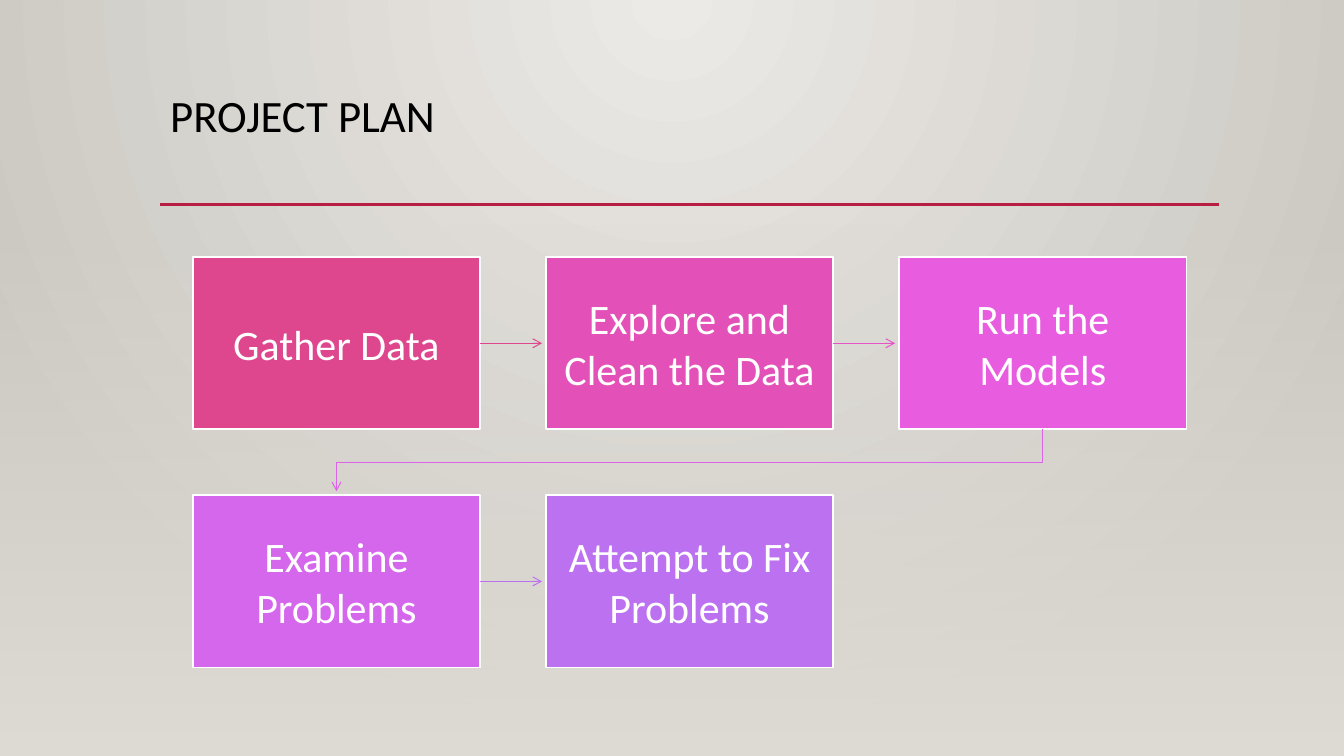
from lxml import etree
from pptx import Presentation
from pptx.dml.color import RGBColor
from pptx.enum import shapes, text
from pptx.oxml.ns import qn
from pptx.util import Cm, Pt

# Content: step label, box colour, colour of the arrow to the next step
TITLE = "PROJECT PLAN"
STEPS = [
    ("Gather Data", "DE478E", "DE478E"),
    ("Explore and Clean the Data", "E351B8", "E555C6"),
    ("Run the Models", "E85CE0", "DD63EB"),
    ("Examine Problems", "D467EC", "BC72F0"),
    ("Attempt to Fix Problems", "BC72F0", None),
]
THEME = {
    "font": "Calibri", "title_size": Pt(32), "step_size": Pt(30),
    "title": "000000", "step": "FFFFFF", "rule": "B71E42",
    "glow": ("ECEAE7", "CAC7C1"), "floor": ("DFDBD5", "DFDBD5"),
    "rule_width": Pt(2.5), "border_width": Pt(1.25), "arrow_width": Pt(0.75),
}

# Layout
SLIDE_W, SLIDE_H = Cm(33.87), Cm(19.05)
MARGIN, RULE_Y, RULE_W = Cm(4.04), Cm(5.15), Cm(26.67)
FLOOR_TOP = Cm(5.61)
COLUMNS = 3
GRID_X, GRID_Y = Cm(4.86), Cm(6.48)
BOX_W, BOX_H = Cm(7.24), Cm(4.34)
PITCH_X, PITCH_Y = Cm(8.9), Cm(6)
TIP_GAP = Cm(0.1)


def rgb(value):
    return RGBColor.from_string(value)


def set_gradient(fill, colours):
    fill.gradient()
    for stop, colour, position in zip(fill.gradient_stops, colours, (0, 1)):
        stop.color.rgb = rgb(colour)
        stop.position = position


def style_text(paragraph, size, colour):
    paragraph.font.name = THEME["font"]
    paragraph.font.size = size
    paragraph.font.color.rgb = rgb(colour)


def style_line(shape, colour, width, arrow=False):
    shape.line.color.rgb = rgb(colour)
    shape.line.width = width
    if arrow:
        etree.SubElement(shape.line._get_or_add_ln(), qn("a:tailEnd"), type="arrow")


def add_line(slide, x1, y1, x2, y2):
    line = slide.shapes.add_connector(shapes.MSO_CONNECTOR.STRAIGHT, x1, y1, x2, y2)
    etree.SubElement(line._element.spPr, qn("a:effectLst"))
    return line


def box_origin(index):
    row, column = divmod(index, COLUMNS)
    return GRID_X + column * PITCH_X, GRID_Y + row * PITCH_Y


def add_backdrop(slide):
    # Radial glow from the top centre
    set_gradient(slide.background.fill, THEME["glow"])
    glow = slide._element.find(".//" + qn("a:gradFill"))
    glow.remove(glow.find(qn("a:lin")))
    radial = etree.SubElement(glow, qn("a:path"))
    radial.set("path", "circle")
    etree.SubElement(radial, qn("a:fillToRect"), l="43000", t="0", r="43000", b="100000")

    # Floor that fades in downwards
    floor = slide.shapes.add_shape(shapes.MSO_SHAPE.RECTANGLE, 0, FLOOR_TOP,
                                   SLIDE_W, SLIDE_H - FLOOR_TOP)
    floor.shadow.inherit = False
    floor.line.fill.background()
    set_gradient(floor.fill, THEME["floor"])
    floor.fill.gradient_angle = 270
    clear = floor._element.find(".//" + qn("a:srgbClr"))
    etree.SubElement(clear, qn("a:alpha"), val="0")


def add_title(slide):
    frame = slide.shapes.add_textbox(MARGIN, Cm(2.24), RULE_W, Cm(2.92)).text_frame
    frame.word_wrap = True
    heading = frame.paragraphs[0]
    heading.text = TITLE
    heading.line_spacing = 0.9
    style_text(heading, THEME["title_size"], THEME["title"])
    rule = add_line(slide, MARGIN, RULE_Y, MARGIN + RULE_W, RULE_Y)
    style_line(rule, THEME["rule"], THEME["rule_width"])


def add_step(slide, index, label, colour):
    box = slide.shapes.add_shape(shapes.MSO_SHAPE.RECTANGLE, *box_origin(index), BOX_W, BOX_H)
    box.shadow.inherit = False
    box.fill.solid()
    box.fill.fore_color.rgb = rgb(colour)
    style_line(box, THEME["step"], THEME["border_width"])
    frame = box.text_frame
    frame.word_wrap = True
    frame.vertical_anchor = text.MSO_ANCHOR.MIDDLE
    frame.margin_left = frame.margin_right = Cm(0.36)
    frame.margin_top = frame.margin_bottom = Cm(0.38)
    caption = frame.paragraphs[0]
    caption.text = label
    caption.alignment = text.PP_ALIGN.CENTER
    style_text(caption, THEME["step_size"], THEME["step"])
    return box


def add_arrow(slide, index, box, colour):
    x, y = box_origin(index)
    next_x, next_y = box_origin(index + 1)
    if y == next_y:
        middle = y + BOX_H // 2
        arrow = add_line(slide, x + BOX_W, middle, next_x - TIP_GAP, middle)
        arrow.begin_connect(box, 3)
    else:
        # Step down to the start of the next row
        start_x, end_x = x + BOX_W // 2, next_x + BOX_W // 2
        bend_y = (y + BOX_H + next_y) // 2
        builder = slide.shapes.build_freeform(start_x, y + BOX_H)
        builder.add_line_segments(
            [(start_x, bend_y), (end_x, bend_y), (end_x, next_y - TIP_GAP)], close=False)
        arrow = builder.convert_to_shape()
        arrow.shadow.inherit = False
        arrow.fill.background()
    style_line(arrow, colour, THEME["arrow_width"], arrow=True)


def main():
    deck = Presentation()
    deck.slide_width, deck.slide_height = SLIDE_W, SLIDE_H
    slide = deck.slides.add_slide(deck.slide_layouts[6])
    add_backdrop(slide)
    add_title(slide)

    # Steps, each with an arrow to the next
    for index, (label, colour, arrow_colour) in enumerate(STEPS):
        box = add_step(slide, index, label, colour)
        if arrow_colour:
            add_arrow(slide, index, box, arrow_colour)
    deck.save("out.pptx")


if __name__ == "__main__":
    main()
